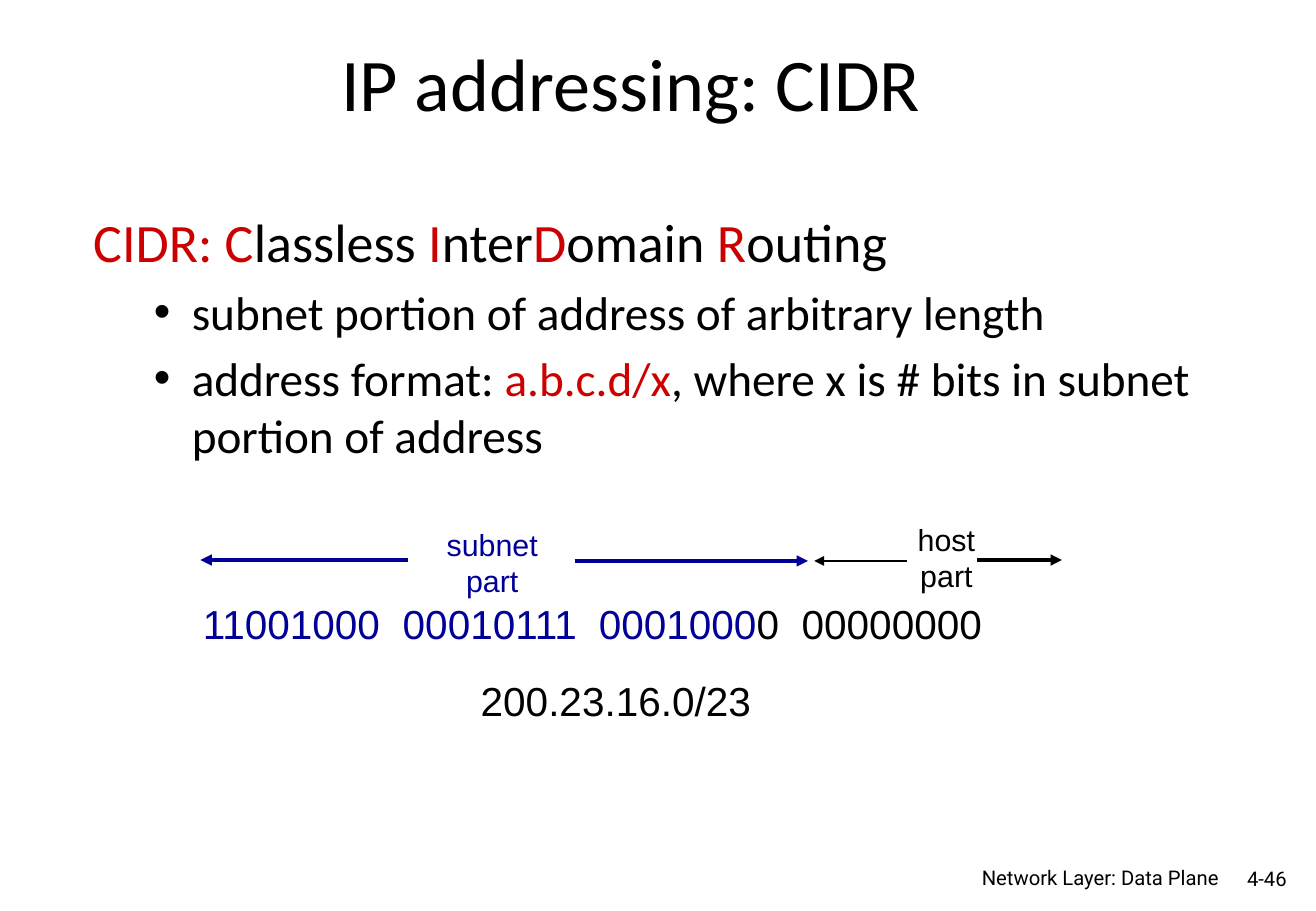
from pptx import Presentation
from pptx.dml.color import RGBColor
from pptx.enum.shapes import MSO_CONNECTOR
from pptx.enum.text import MSO_ANCHOR as ANC, PP_ALIGN as AL
from pptx.oxml.ns import qn
from pptx.util import Cm, Pt
from lxml.etree import SubElement

COLORS = {"black": "000000", "red": "CC0000", "blue": "000099"}

# Content: a run is (text, color), a paragraph is a list of runs
TITLE = [[("IP addressing: CIDR", "black")]]
HEADING = [("CIDR: C", "red"), ("lassless ", "black"), ("I", "red"), ("nter", "black"),
           ("D", "red"), ("omain ", "black"), ("R", "red"), ("outing", "black")]
BULLETS = [
    [("subnet portion of address of arbitrary length", "black")],
    [("address format: ", "black"), ("a.b.c.d/x", "red"),
     (", where x is # bits in subnet portion of address", "black")],
]
ADDRESS = [[("11001000\t00010111\t0001000", "blue"), ("0\t00000000", "black")]]
OCTET_TABS = [4.18, 8.28, 12.52]  # cm from the text edge

# Labels: box in cm, font, size, alignment, wrap, anchor, paragraphs
LABELS = [
    ((19.18, 17.98, 6.55, 0.66), "Roboto", 12, AL.RIGHT, True, ANC.TOP,
     [[("Network Layer: Data Plane", "black")]]),
    ((25.45, 17.98, 1.7, 0.76), "Roboto", 12, AL.RIGHT, True, ANC.MIDDLE,
     [[("4-46", "black")]]),
    ((9.07, 10.87, 2.44, 1.8), "Arial", 18, AL.CENTER, False, ANC.TOP,
     [[("subnet", "blue")], [("part", "blue")]]),
    ((18.92, 10.77, 1.73, 1.8), "Arial", 18, AL.CENTER, False, ANC.TOP,
     [[("host", "black")], [("part", "black")]]),
    ((9.8, 14.02, 6.22, 1.27), "Arial", 24, AL.LEFT, False, ANC.TOP,
     [[("200.23.16.0/23", "black")]]),
]

# Arrows: start x, end x, y in cm, color, width in points
ARROWS = [
    (8.53, 4.19, 11.71, "blue", 2.25),
    (12.01, 16.89, 11.73, "blue", 2.25),
    (18.95, 17.02, 11.73, "black", 1.5),
    (20.42, 22.2, 11.71, "black", 2.25),
]


def write(p, runs, font, size, align=AL.LEFT):
    p.alignment = align
    for text, color in runs:
        r = p.add_run()
        r.text = text
        for name, value in {"name": font, "size": Pt(size)}.items():
            setattr(r.font, name, value)
        r.font.color.rgb = RGBColor.from_string(COLORS[color])


def fill_text(tf, paragraphs, font, size, align=AL.LEFT, wrap=True, anchor=ANC.TOP):
    tf.word_wrap, tf.vertical_anchor = wrap, anchor
    for i, runs in enumerate(paragraphs):
        p = tf.add_paragraph() if i else tf.paragraphs[0]
        write(p, runs, font, size, align)


def add_box(*box):
    return s.shapes.add_textbox(*map(Cm, box)).text_frame


prs = Presentation()
prs.slide_width, prs.slide_height = Cm(27.51), Cm(19.05)
s = prs.slides.add_slide(prs.slide_layouts[5])

# Title
title = s.shapes.title
title.left, title.top, title.width, title.height = map(Cm, (1.5, 0.53, 23.39, 2.36))
fill_text(title.text_frame, TITLE, "Calibri", 44, AL.CENTER, anchor=ANC.MIDDLE)

# Heading and bullets
tf = add_box(1.7, 4.24, 24.41, 8.81)
fill_text(tf, [HEADING], "Calibri", 32)
for runs in BULLETS:
    p = tf.add_paragraph()
    p.level = 1
    p.space_before = Pt(5.6)
    pPr = p._p.get_or_add_pPr()
    pPr.set("marL", str(Cm(2.06)))
    pPr.set("indent", str(Cm(-0.79)))
    SubElement(pPr, qn("a:buFont"), typeface="Arial")
    SubElement(pPr, qn("a:buChar"), char="•")
    write(p, runs, "Calibri", 28)

# Binary address, octets set on tab stops
tf = add_box(3.99, 12.4, 16.99, 1.27)
tabs = SubElement(tf.paragraphs[0]._p.get_or_add_pPr(), qn("a:tabLst"))
for x in OCTET_TABS:
    SubElement(tabs, qn("a:tab"), pos=str(Cm(x)), algn="l")
fill_text(tf, ADDRESS, "Arial", 24)

# Labels and footer
for box, font, size, align, wrap, anchor, paragraphs in LABELS:
    fill_text(add_box(*box), paragraphs, font, size, align, wrap, anchor)

# Arrows spanning the subnet and host parts
for x1, x2, y, color, width in ARROWS:
    line = s.shapes.add_connector(MSO_CONNECTOR.STRAIGHT, Cm(x1), Cm(y), Cm(x2), Cm(y))
    line.line.color.rgb = RGBColor.from_string(COLORS[color])
    line.line.width = Pt(width)
    SubElement(line.line._get_or_add_ln(), qn("a:tailEnd"), type="triangle")
    SubElement(line._element.spPr, qn("a:effectLst"))

prs.save("out.pptx")
